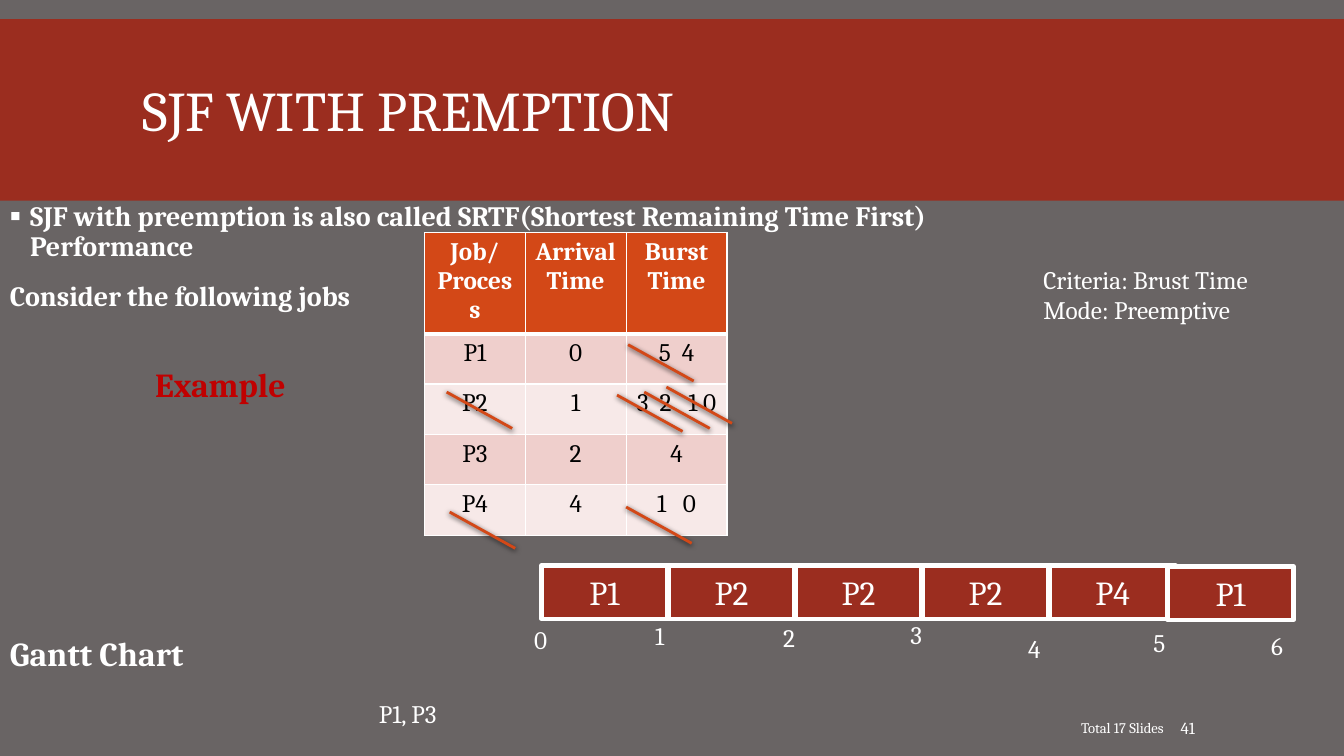
from lxml.etree import SubElement
from pptx import Presentation
from pptx.dml.color import RGBColor
from pptx.enum.shapes import MSO_CONNECTOR, MSO_SHAPE
from pptx.enum.text import MSO_ANCHOR, PP_ALIGN
from pptx.oxml.ns import qn
from pptx.util import Emu, Pt

PX = 9144
WHITE, BRICK, ORANGE, GREY = "FFFFFF", "9B2D1F", "D34817", "696464"


def px(length):
    return Emu(length * PX)


def rgb(color):
    return RGBColor.from_string(color)


class Deck:
    font = "Cambria"

    def __init__(self, width, height, background):
        self.presentation = Presentation()
        self.presentation.slide_width = px(width)
        self.presentation.slide_height = px(height)
        self.slide = self.presentation.slides.add_slide(self.presentation.slide_layouts[6])
        self.slide.background.fill.solid()
        self.slide.background.fill.fore_color.rgb = rgb(background)

    def run(self, paragraph, text, size, color=WHITE, bold=False, spacing=0):
        run = paragraph.add_run()
        run.text = text
        run.font.name = self.font
        run.font.size = Pt(size)
        run.font.bold = bold
        run.font.color.rgb = rgb(color)
        if spacing:
            run.font._element.set("spc", str(spacing * 100))

    def text(self, box, lines, size=18, color=WHITE, bold=False, align=PP_ALIGN.LEFT,
             anchor=MSO_ANCHOR.TOP, wrap=True, leading=None, before=0, after=0):
        frame = self.slide.shapes.add_textbox(*map(px, box)).text_frame
        frame.word_wrap = wrap
        frame.vertical_anchor = anchor
        for index, line in enumerate(lines):
            paragraph = frame.add_paragraph() if index else frame.paragraphs[0]
            paragraph.alignment = align
            paragraph.line_spacing = leading
            paragraph.space_before = Pt(before)
            paragraph.space_after = Pt(after)
            self.run(paragraph, line, size, color, bold)
        return frame

    def bullet(self, paragraph, mark, indent):
        properties = paragraph._p.get_or_add_pPr()
        properties.set("marL", str(px(indent)))
        properties.set("indent", str(-px(indent)))
        tint = SubElement(properties, qn("a:buClr"))
        SubElement(tint, qn("a:srgbClr"), val=WHITE)
        SubElement(properties, qn("a:buFont"), typeface=self.font)
        SubElement(properties, qn("a:buChar"), char=mark)

    def block(self, box, fill, label=None, border=0):
        shape = self.slide.shapes.add_shape(MSO_SHAPE.RECTANGLE, *map(px, box))
        shape.shadow.inherit = False
        shape.fill.solid()
        shape.fill.fore_color.rgb = rgb(fill)
        if border:
            shape.line.color.rgb = rgb(WHITE)
            shape.line.width = Pt(border)
        else:
            shape.line.fill.background()
        if label:
            shape.text_frame.vertical_anchor = MSO_ANCHOR.MIDDLE
            paragraph = shape.text_frame.paragraphs[0]
            paragraph.alignment = PP_ALIGN.CENTER
            self.run(paragraph, label, 24)

    def strike(self, left, top):
        line = self.slide.shapes.add_connector(
            MSO_CONNECTOR.STRAIGHT, px(left), px(top), px(left + 65), px(top + 36))
        line.line.color.rgb = rgb(ORANGE)
        line.line.width = Pt(2)
        effects = SubElement(line._element.spPr, qn("a:effectLst"))
        shadow = SubElement(effects, qn("a:outerShdw"), blurRad=str(Pt(4)),
                            dist=str(Pt(1.2)), dir="5400000", rotWithShape="0")
        shade = SubElement(shadow, qn("a:srgbClr"), val="000000")
        SubElement(shade, qn("a:alpha"), val="68000")

    def border(self, cell, **widths):
        properties = cell._tc.get_or_add_tcPr()
        for side, width in widths.items():
            edge = SubElement(properties, qn("a:ln" + side), w=str(Pt(width)))
            fill = SubElement(edge, qn("a:solidFill"))
            SubElement(fill, qn("a:srgbClr"), val=WHITE)

    def table(self, left, top, column, heights, rows):
        width = column * len(rows[0])
        table = self.slide.shapes.add_table(
            len(rows), len(rows[0]), px(left), px(top), px(width), px(sum(heights))).table
        table.horz_banding = False
        for grid_column in table.columns:
            grid_column.width = px(column)
        for r, row in enumerate(rows):
            table.rows[r].height = px(heights[r])
            fill = ORANGE if r == 0 else ("F7E9E8", "EFCFCC")[r % 2]
            for c, pieces in enumerate(row):
                cell = table.cell(r, c)
                self.border(cell, L=1, R=1, T=3 if r == 1 else 1, B=3 if r == 0 else 1)
                cell.fill.solid()
                cell.fill.fore_color.rgb = rgb(fill)
                paragraph = cell.text_frame.paragraphs[0]
                paragraph.alignment = PP_ALIGN.CENTER
                for piece, spacing in pieces:
                    self.run(paragraph, piece, 18, "000000" if r else WHITE, r == 0, spacing)


def whole(*texts):
    return [[(text, 0)] for text in texts]


def main():
    deck = Deck(1333, 750, GREY)
    deck.block((0, 19, 1333, 180), BRICK)
    deck.text((132, 31, 1070, 165), ["SJF WITH PREMPTION"], 40,
              anchor=MSO_ANCHOR.MIDDLE, leading=0.85)

    intro = deck.text(
        (0, 196, 1060, 120),
        ["SJF with preemption is also called SRTF(Shortest Remaining Time First) Performance",
         "Consider the following jobs"],
        20, bold=True, leading=0.9, before=12, after=2)
    deck.bullet(intro.paragraphs[0], "▪", 20)
    deck.text((0, 628, 400, 50), ["Gantt Chart"], 24, bold=True, leading=0.9)

    jobs = [
        whole("Job/Process", "Arrival Time", "Burst Time"),
        whole("P1", "0") + [[("5", 0), (" ", 4), ("4", 0)]],
        whole("P2", "1") + [[("3", 0), (" ", 4), ("2", 0), (" ", 8), ("1 0", 0)]],
        whole("P3", "2", "4"),
        whole("P4", "4") + [[("1", 0), (" ", 8), ("0", 0)]],
    ]
    deck.table(421, 231, 100, [93] + [50] * 4, jobs)

    for slot, process in enumerate(["P1", "P2", "P2", "P2", "P4"]):
        deck.block((537 + 126 * slot, 561, 125, 53), BRICK, process, 3)
    deck.block((1158, 562, 125, 53), BRICK, "P1", 3)

    tick_places = [(520, 614), (640, 610), (767, 612), (893, 609),
                   (1010, 623), (1134, 617), (1251, 620)]
    for time, (left, top) in enumerate(tick_places):
        deck.text((left, top, 50, 40), [str(time)])

    deck.text((144, 356, 298, 50), ["Example"], 24, "C00000", bold=True)
    deck.text((1025, 257, 241, 71), ["Criteria: Brust Time", "Mode: Preemptive"], wrap=False)
    deck.text((366, 688, 204, 40), ["P1, P3"])
    deck.text((612, 702, 552, 40), ["Total 17 Slides"], 10.5,
              align=PP_ALIGN.RIGHT, anchor=MSO_ANCHOR.MIDDLE)
    page_number = deck.text((1166, 702, 103, 40), ["41"], 12, anchor=MSO_ANCHOR.MIDDLE)
    page_number.margin_left = px(5)

    for left, top in [(623, 342), (612, 392), (639, 389), (661, 384),
                      (443, 389), (621, 503), (446, 508)]:
        deck.strike(left, top)

    deck.presentation.save("out.pptx")


if __name__ == "__main__":
    main()
